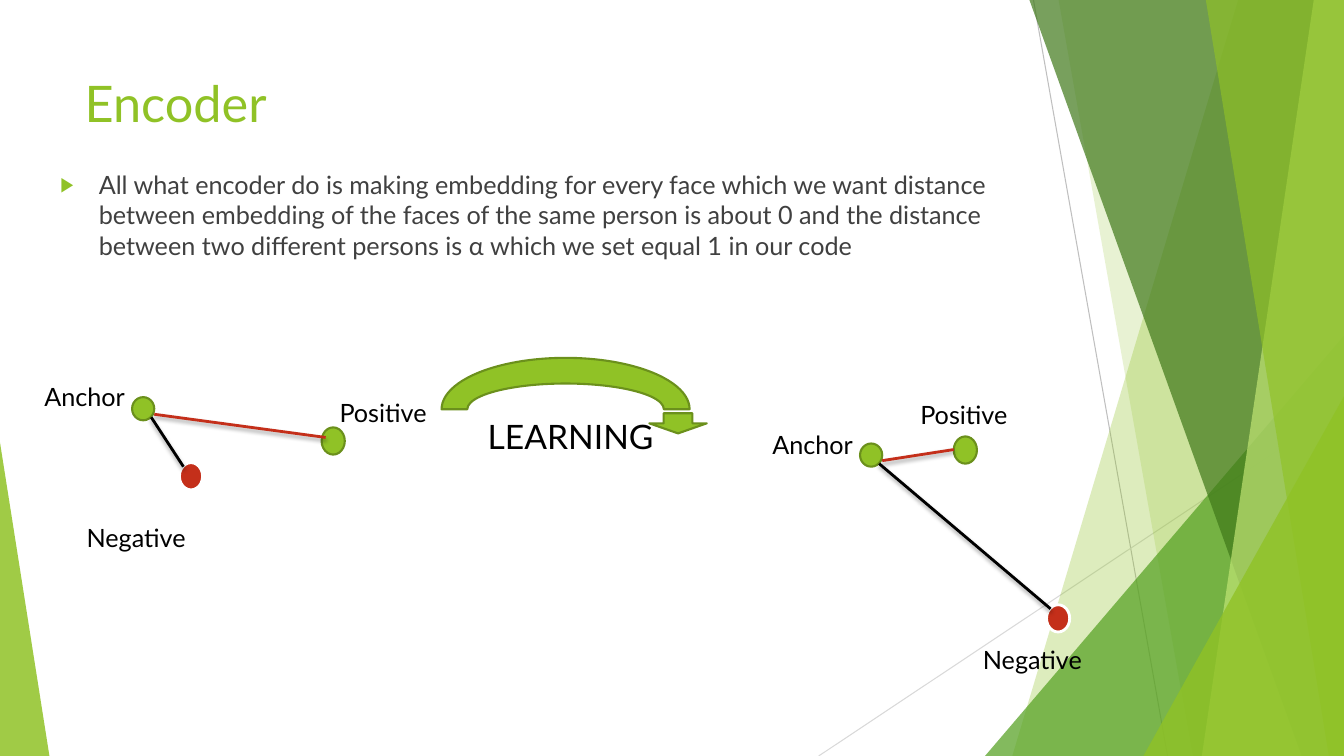
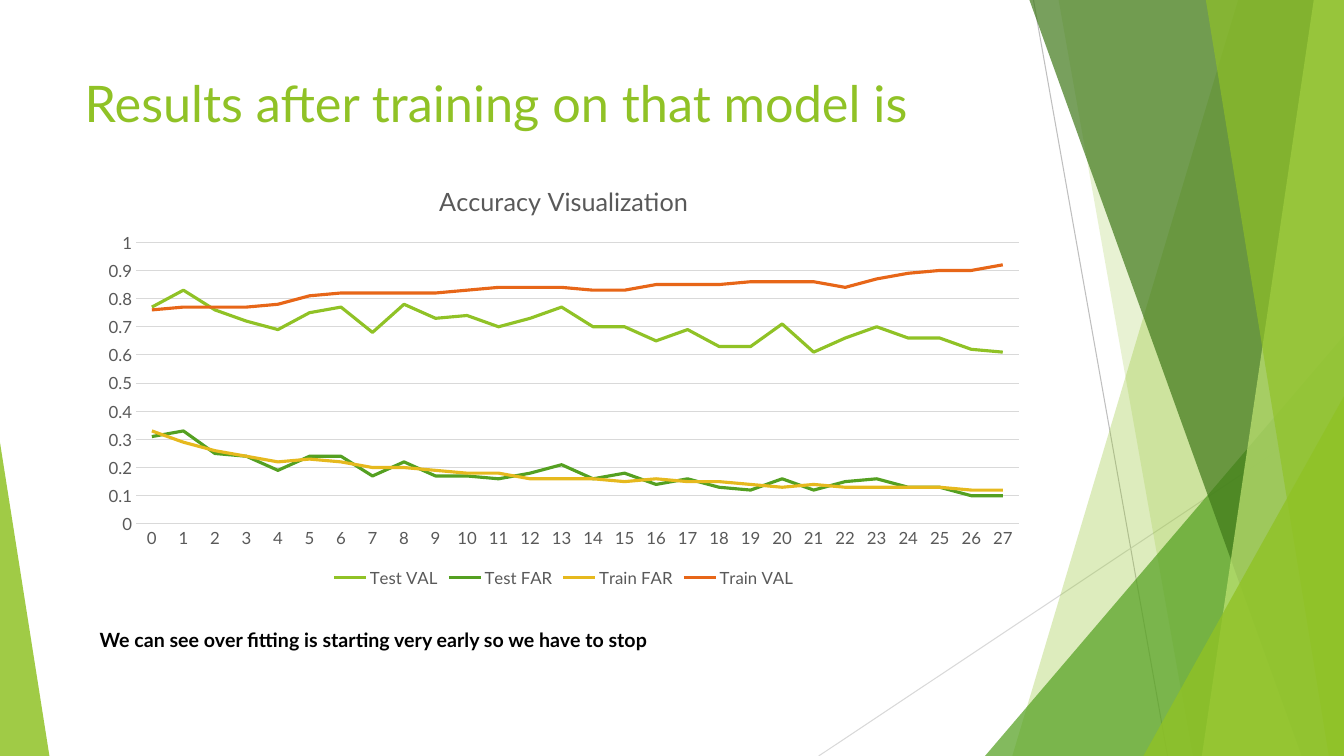
from lxml.etree import SubElement
from pptx import Presentation
from pptx.chart.data import CategoryChartData
from pptx.dml.color import RGBColor
from pptx.enum.chart import XL_CHART_TYPE as ChartType
from pptx.enum.chart import XL_LEGEND_POSITION as LegendPosition
from pptx.enum.chart import XL_TICK_MARK as TickMark
from pptx.enum.shapes import MSO_CONNECTOR as Connector
from pptx.enum.shapes import MSO_SHAPE as Shape
from pptx.enum.text import MSO_ANCHOR as Anchor
from pptx.enum.text import MSO_AUTO_SIZE as AutoSize
from pptx.enum.text import PP_ALIGN as Align
from pptx.oxml.ns import qn
from pptx.util import Inches, Pt

FONT = "Lato"
WIDTH, HEIGHT = 13.33, 7.5
COLORS = {
    "lime": "90C226", "lime_edge": "6B901C", "pale": "C0E474",
    "green": "54A021", "forest": "3F7819", "yellow": "E6B91E",
    "orange": "E76618", "red": "C42F1A", "black": "000000",
    "white": "FFFFFF", "text": "404040", "axis": "595959",
    "rule": "BFBFBF", "grid": "D9D9D9",
}
ACCURACY = {
    "Test VAL": ("lime", [
        0.77, 0.83, 0.76, 0.72, 0.69, 0.75, 0.77, 0.68, 0.78, 0.73,
        0.74, 0.7, 0.73, 0.77, 0.7, 0.7, 0.65, 0.69, 0.63, 0.63,
        0.71, 0.61, 0.66, 0.7, 0.66, 0.66, 0.62, 0.61]),
    "Test FAR": ("green", [
        0.31, 0.33, 0.25, 0.24, 0.19, 0.24, 0.24, 0.17, 0.22, 0.17,
        0.17, 0.16, 0.18, 0.21, 0.16, 0.18, 0.14, 0.16, 0.13, 0.12,
        0.16, 0.12, 0.15, 0.16, 0.13, 0.13, 0.1, 0.1]),
    "Train FAR": ("yellow", [
        0.33, 0.29, 0.26, 0.24, 0.22, 0.23, 0.22, 0.2, 0.2, 0.19,
        0.18, 0.18, 0.16, 0.16, 0.16, 0.15, 0.16, 0.15, 0.15, 0.14,
        0.13, 0.14, 0.13, 0.13, 0.13, 0.13, 0.12, 0.12]),
    "Train VAL": ("orange", [
        0.76, 0.77, 0.77, 0.77, 0.78, 0.81, 0.82, 0.82, 0.82, 0.82,
        0.83, 0.84, 0.84, 0.84, 0.83, 0.83, 0.85, 0.85, 0.85, 0.86,
        0.86, 0.86, 0.84, 0.87, 0.89, 0.9, 0.9, 0.92]),
}


def rgb(color):
    return RGBColor.from_string(COLORS[color])


def set_font(font, size, color, bold=False):
    font.name, font.size, font.bold = FONT, Pt(size), bold
    font.color.rgb = rgb(color)


def write(frame, text, size=18, color="black", bold=False, align=Align.LEFT):
    para = frame.paragraphs[0]
    para.alignment = align
    span = para.add_run()
    span.text = text
    set_font(span.font, size, color, bold)
    return para


def place(shape, left, top, width, height):
    shape.left, shape.top = Inches(left), Inches(top)
    shape.width, shape.height = Inches(width), Inches(height)


def paint(shape, fill, line=None, line_width=1.5, opacity=100):
    shape.shadow.inherit = False
    shape.fill.solid()
    shape.fill.fore_color.rgb = rgb(fill)
    if opacity < 100:
        color = shape.element.spPr.find(f"{qn('a:solidFill')}/{qn('a:srgbClr')}")
        SubElement(color, qn("a:alpha"), val=str(opacity * 1000))
    if line:
        shape.line.color.rgb = rgb(line)
        shape.line.width = Pt(line_width)
    else:
        shape.line.fill.background()


def add_shape(slide, kind, box, fill, **style):
    shape = slide.shapes.add_shape(kind, *map(Inches, box))
    paint(shape, fill, **style)
    return shape


def add_line(slide, start, end, color, width, shadow=False):
    line = slide.shapes.add_connector(
        Connector.STRAIGHT, *map(Inches, (*start, *end)))
    line.line.color.rgb = rgb(color)
    line.line.width = Pt(width)
    effects = SubElement(line.element.spPr, qn("a:effectLst"))
    if shadow:
        outer = SubElement(effects, qn("a:outerShdw"), blurRad=str(Pt(3)),
                           dist=str(Pt(2)), dir="5400000", rotWithShape="0")
        black = SubElement(outer, qn("a:srgbClr"), val=COLORS["black"])
        SubElement(black, qn("a:alpha"), val="35000")


def add_text(slide, box, text, anchor=Anchor.MIDDLE, **style):
    frame = slide.shapes.add_textbox(*map(Inches, box)).text_frame
    frame.word_wrap = True
    frame.vertical_anchor = anchor
    write(frame, text, **style)


def add_panel(slide, top_x, bottom_x, fill, opacity):
    """Fill from a slanted left edge to the right side of the slide."""
    corners = [(WIDTH, 0), (WIDTH, HEIGHT), (bottom_x, HEIGHT)]
    builder = slide.shapes.build_freeform(Inches(top_x), 0, scale=1.0)
    builder.add_line_segments([(Inches(x), Inches(y)) for x, y in corners])
    paint(builder.convert_to_shape(), fill, opacity=opacity)


def add_wedge(slide, left, top, width, apex, fill, opacity):
    """Stand a right triangle on the bottom of the slide."""
    wedge = add_shape(slide, Shape.ISOSCELES_TRIANGLE,
                      (left, top, width, HEIGHT - top), fill, opacity=opacity)
    wedge.adjustments[0] = apex


def draw_backdrop(slide):
    add_line(slide, (10.25, 0), (11.58, HEIGHT), "rule", 0.75)
    add_line(slide, (WIDTH, 4.03), (8.12, HEIGHT), "grid", 0.75)
    add_panel(slide, 12.28, 10.04, "lime", 30)
    add_panel(slide, 10.5, 11.83, "lime", 20)
    add_wedge(slide, 9.77, 3.33, 3.56, 1, "green", 72)
    add_panel(slide, 10.21, 12.91, "forest", 70)
    add_panel(slide, 13.03, 11.92, "pale", 70)
    add_panel(slide, 11.96, 13.18, "lime", 65)
    add_wedge(slide, 11.34, 3.93, 1.99, 1, "lime", 80)
    add_wedge(slide, 0, 4.39, 0.49, 0, "lime", 85)


def set_up_master(deck):
    """Place the master's title and body, and give it the backdrop."""
    master = deck.slide_master
    title, body = list(master.placeholders)[:2]
    place(title, 0.74, 0.67, 9.4, 1.44)
    place(body, 0.5, 1.63, 9.87, 4.24)
    for holder in (title, body):
        holder.text_frame.vertical_anchor = Anchor.TOP
        holder.text_frame.auto_size = AutoSize.NONE

    # Shapes can only be added to slides, so they are drawn there and moved.
    slide = deck.slides[0]
    draw_backdrop(slide)
    drawn = [shape for shape in slide.shapes if not shape.is_placeholder]
    for index, shape in enumerate(drawn):
        shape.element.find(f".//{qn('p:cNvPr')}").set("id", str(100 + index))
        master.shapes.element.insert(2 + index, shape.element)


def add_slide(deck, layout_name, title):
    slide = deck.slides.add_slide(deck.slide_layouts.get_by_name(layout_name))
    write(slide.shapes.title.text_frame, title, size=36, color="lime")
    return slide


def write_bullet(frame, text):
    para = write(frame, text, color="text")
    para.space_before = Pt(10)
    props = para._p.get_or_add_pPr()
    props.set("marL", str(Inches(0.38)))
    props.set("indent", str(Inches(-0.38)))
    color = SubElement(props, qn("a:buClr"))
    SubElement(color, qn("a:srgbClr"), val=COLORS["lime"])
    SubElement(props, qn("a:buSzPct"), val="80000")
    SubElement(props, qn("a:buChar"), char="▶")


def shift(point, dx, dy):
    return point[0] + dx, point[1] + dy


def add_triplet(slide, anchor, positive, negative, positive_end, labels):
    """Draw the three nodes, both distances and the labels at given corners."""
    add_shape(slide, Shape.OVAL, (*anchor, 0.22, 0.23), "lime", line="lime_edge")
    add_shape(slide, Shape.OVAL, (*negative, 0.23, 0.27), "red",
              line="white", line_width=2)
    add_shape(slide, Shape.OVAL, (*positive, 0.23, 0.27), "lime",
              line="lime_edge")
    add_line(slide, shift(anchor, 0.19, 0.2), shift(negative, 0.04, 0.04),
             "black", 2, shadow=True)
    add_line(slide, shift(anchor, 0.22, 0.17), positive_end,
             "red", 2, shadow=True)
    for text, corner in labels.items():
        width = 1.34 if text == "Negative" else 1.14
        add_text(slide, (*corner, width, 0.61), text, align=Align.CENTER)


def fill_encoder_slide(slide):
    write_bullet(
        slide.placeholders[1].text_frame,
        "All what encoder do is making embedding for every face which we want "
        "distance between embedding of the faces of the same person is about 0 "
        "and the distance between two different persons is α which we set "
        "equal 1 in our code")
    add_triplet(slide, (1.31, 3.94), (3.19, 4.24), (1.78, 4.59), (3.23, 4.34),
                {"Anchor": (0.27, 3.63), "Positive": (3.23, 3.79),
                 "Negative": (0.68, 5.03)})
    add_shape(slide, Shape.BLOCK_ARC, (4.38, 3.55, 2.46, 1.02), "lime",
              line="lime_edge")
    add_shape(slide, Shape.DOWN_ARROW, (6.44, 4.1, 0.57, 0.2), "lime",
              line="lime_edge")
    add_text(slide, (4.43, 4.02, 2.46, 0.61), "LEARNING", size=24,
             align=Align.CENTER)
    add_triplet(slide, (8.53, 4.4), (9.46, 4.33), (10.38, 6), (9.46, 4.46),
                {"Anchor": (7.49, 4.1), "Positive": (8.99, 3.81),
                 "Negative": (9.57, 6.24)})


def style_axes(chart):
    for axis in (chart.category_axis, chart.value_axis):
        axis.major_tick_mark = axis.minor_tick_mark = TickMark.NONE
        set_font(axis.tick_labels.font, 12, "axis")
    category_line = chart.category_axis.format.line
    grid_line = chart.value_axis.major_gridlines.format.line
    for line in (category_line, grid_line):
        line.color.rgb = rgb("grid")
        line.width = Pt(0.75)
    values = chart.value_axis
    values.format.line.fill.background()
    values.minimum_scale, values.maximum_scale = 0, 1
    values.major_unit = 0.1


def add_accuracy_chart(slide, box):
    data = CategoryChartData()
    data.categories = [str(epoch) for epoch in range(28)]
    for name, (_, values) in ACCURACY.items():
        data.add_series(name, values)
    chart = slide.shapes.add_chart(
        ChartType.LINE, *map(Inches, box), data).chart
    set_font(chart.font, 10, "black")
    chart.has_title = True
    write(chart.chart_title.text_frame, "Accuracy Visualization",
          color="axis", align=Align.CENTER)
    chart.chart_title.include_in_layout = False
    chart.has_legend = True
    chart.legend.position = LegendPosition.BOTTOM
    chart.legend.include_in_layout = False
    set_font(chart.legend.font, 12, "axis")
    style_axes(chart)
    chart.plots[0].vary_by_categories = False
    for series in chart.plots[0].series:
        series.smooth = False
        series.format.line.color.rgb = rgb(ACCURACY[series.name][0])
        series.format.line.width = Pt(2.25)


def fill_results_slide(slide):
    add_accuracy_chart(slide, (0.89, 1.63, 9.4, 4.24))
    add_text(slide, (0.89, 6.18, 9.4, 0.81),
             "We can see over fitting is starting very early so we have to stop",
             anchor=Anchor.TOP, size=14, bold=True)


def main():
    deck = Presentation()
    deck.slide_width, deck.slide_height = Inches(WIDTH), Inches(HEIGHT)
    encoder = add_slide(deck, "Title and Content", "Encoder")
    set_up_master(deck)
    fill_encoder_slide(encoder)
    fill_results_slide(add_slide(
        deck, "Title Only", "Results after training on that model is"))
    deck.save("out.pptx")


if __name__ == "__main__":
    main()
